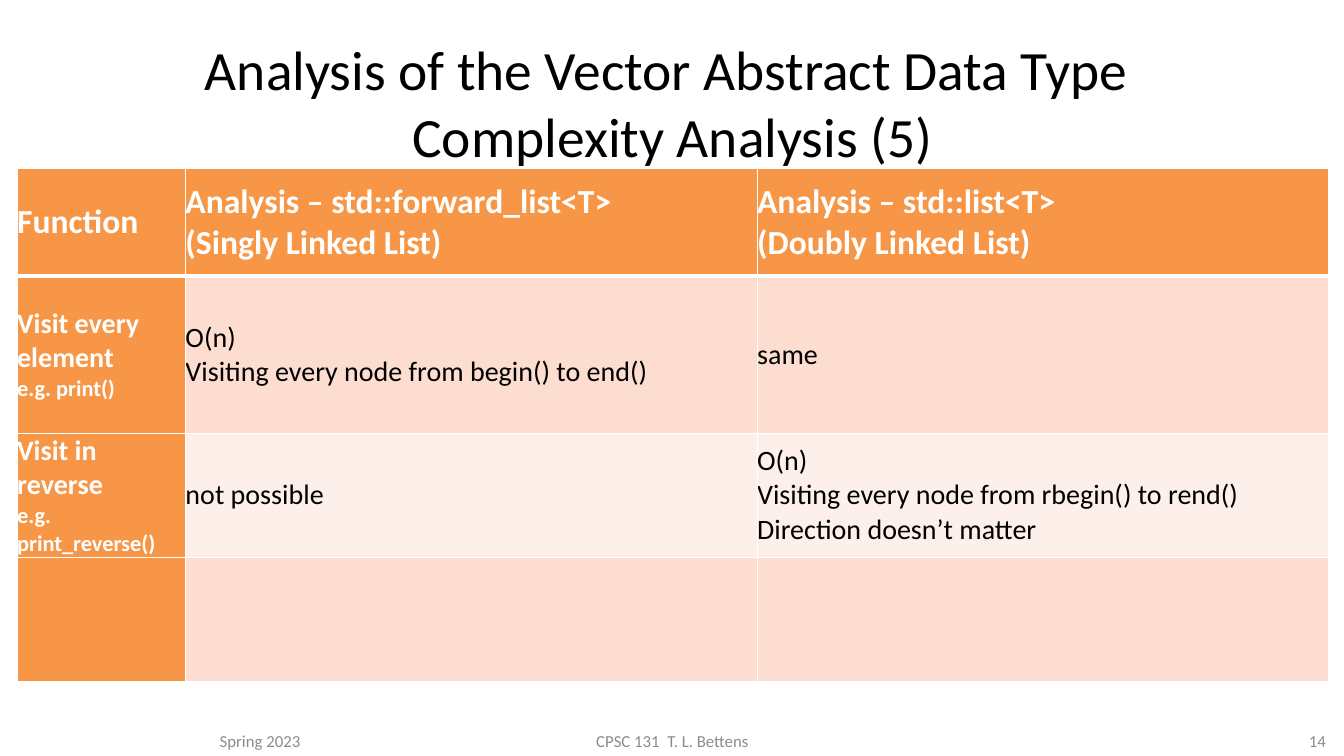
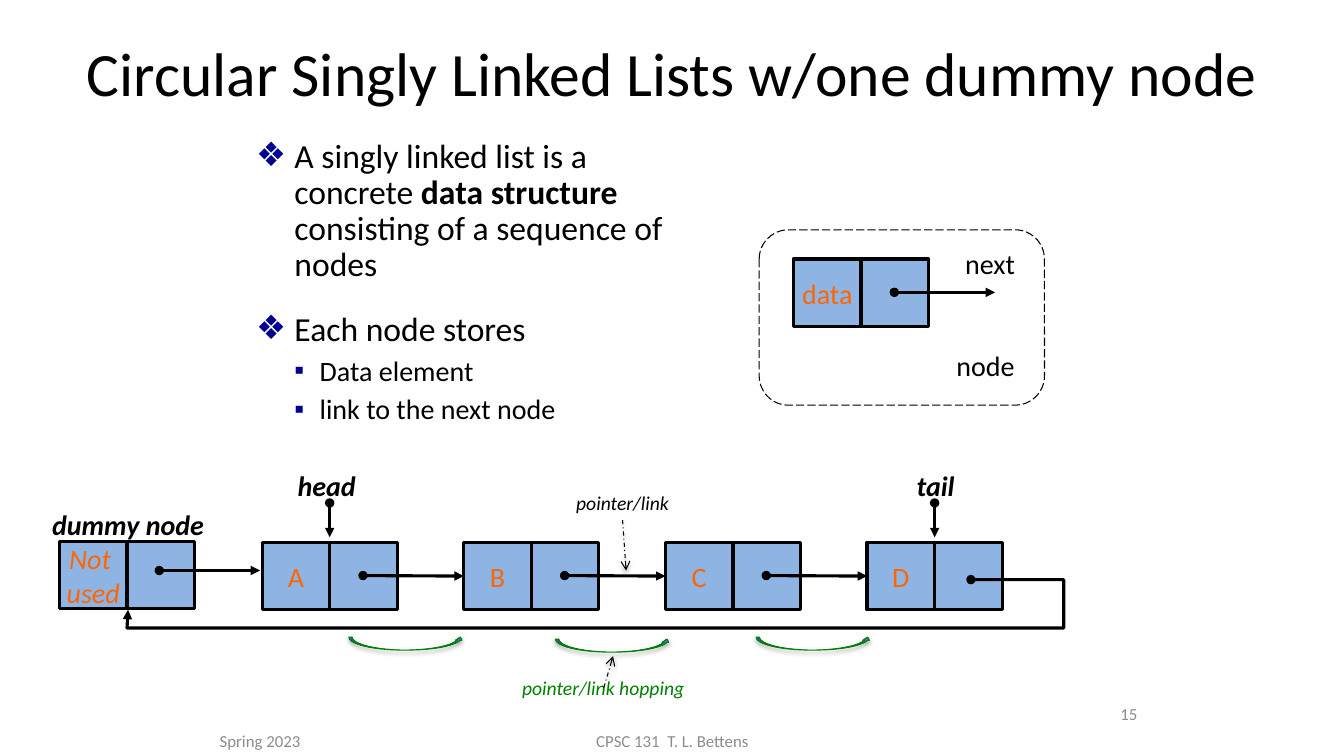
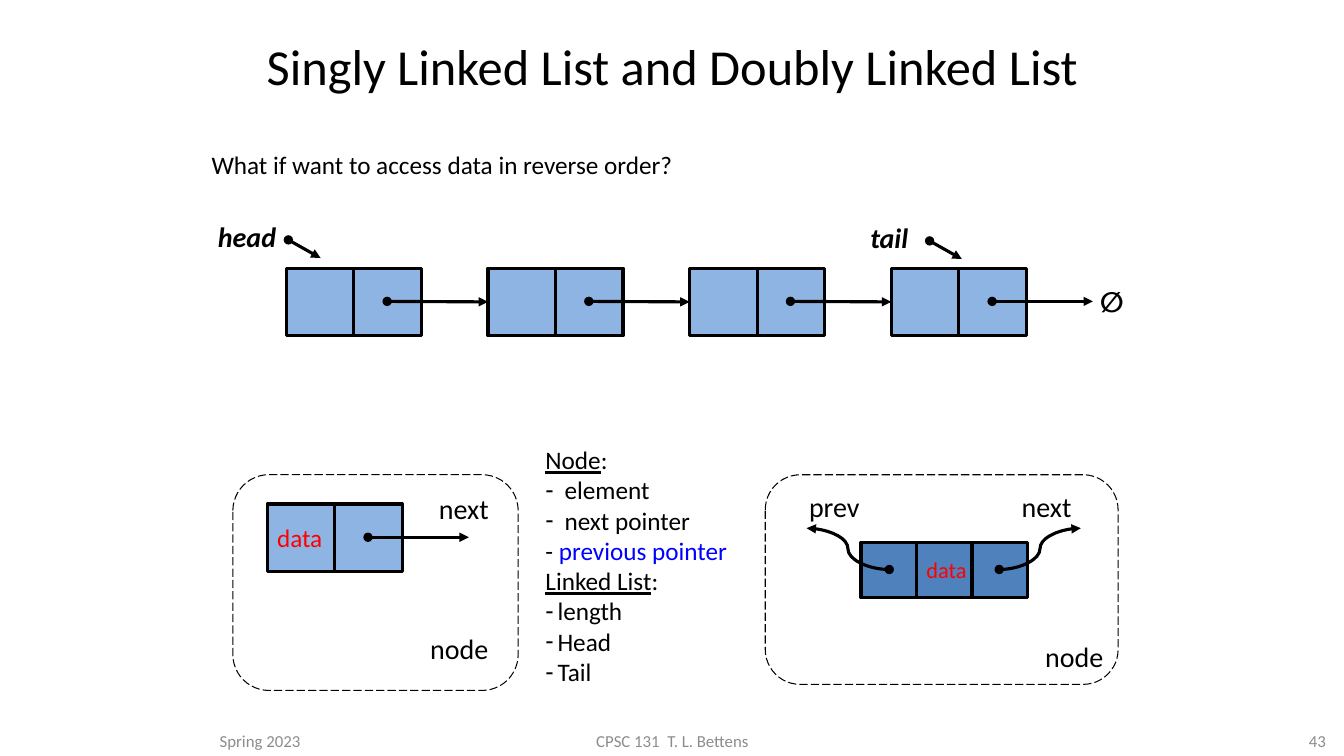
from lxml.etree import SubElement
from pptx import Presentation
from pptx.dml.color import RGBColor
from pptx.enum.dml import MSO_LINE as DASH
from pptx.enum.shapes import MSO_CONNECTOR as LINK, MSO_SHAPE as SHAPE
from pptx.enum.text import MSO_ANCHOR as ANCHOR, MSO_AUTO_SIZE as AUTOSIZE, PP_ALIGN as ALIGN
from pptx.oxml.ns import qn
from pptx.util import Pt

PX = 9144
BLACK, WHITE, GRAY = "000000", "FFFFFF", "8C8C8C"
SKY, STEEL, NAVY, BLUE = "8EB4E3", "4F81BD", "000090", "0000FF"
ORANGE, RED, GREEN = "FF6600", "FF0000", "008000"
HEADER, BANDS = "F79646", ("FCDDCF", "FDEFE9")
CELL, STEP = 67, 200


def px(*lengths):
    return [length * PX for length in lengths]


def color(code):
    return RGBColor.from_string(code)


def element(parent, tag, **attributes):
    return SubElement(parent, qn("a:" + tag), {key: str(value) for key, value in attributes.items()})


def effects(shape, shadow=False):
    effect_list = element(shape._element.spPr, "effectLst")
    if shadow:
        outer = element(effect_list, "outerShdw", blurRad=Pt(3), dist=Pt(1.7), dir=90 * 60000, rotWithShape=0)
        element(element(outer, "srgbClr", val=BLACK), "alpha", val=36000)


def outline(line, width, ink=BLACK, dash=None, head=None, tail=None):
    line.width = Pt(width)
    line.color.rgb = color(ink)
    if dash:
        line.dash_style = dash
    for tag, kind in (("headEnd", head), ("tailEnd", tail)):
        if kind:
            element(line._get_or_add_ln(), tag, type=kind)


def style_font(font, size=None, ink=None, bold=None, italic=None, underline=None, name=None):
    if size:
        font.size = Pt(size)
    if ink:
        font.color.rgb = color(ink)
    if name:
        font.name = name
    for key, value in (("bold", bold), ("italic", italic), ("underline", underline)):
        if value is not None:
            setattr(font, key, value)


def add_runs(paragraph, runs):
    for text, run_style in runs:
        run = paragraph.add_run()
        run.text = text
        style_font(run.font, **run_style)


def bullet(paragraph, mark, indent, ink):
    properties = paragraph._p.get_or_add_pPr()
    left, hang = indent
    properties.set("marL", str(left * PX))
    properties.set("indent", str(-hang * PX))
    if mark:
        element(element(properties, "buClr"), "srgbClr", val=ink)
        element(properties, "buChar", char=mark)
    else:
        element(properties, "buNone")


class Deck:
    def __init__(self):
        self.presentation = Presentation()
        self.presentation.slide_width, self.presentation.slide_height = px(1333, 750)
        self.slide = None

    def add_slide(self, title, size, number, layout, number_box=(1025, 695, 300, 55)):
        self.slide = self.presentation.slides.add_slide(self.presentation.slide_layouts[layout])
        self.place(self.slide.shapes.title, (17, 30, 1300, 125))
        self.set_text(self.slide.shapes.title.text_frame, [title], size, align=ALIGN.CENTER)
        for text, box, align in (
            ("Spring 2023", (208, 695, 233, 55), ALIGN.LEFT),
            ("CPSC 131  T. L. Bettens", (442, 695, 450, 55), ALIGN.CENTER),
            (number, number_box, ALIGN.RIGHT),
        ):
            self.label(text, box, 12, ink=GRAY, align=align, wrap=True, anchor=ANCHOR.BOTTOM)

    def place(self, shape, box):
        shape.left, shape.top, shape.width, shape.height = px(*box)
        shape.text_frame.auto_size = AUTOSIZE.NONE
        shape.text_frame.vertical_anchor = ANCHOR.TOP

    def set_text(self, frame, lines, size, ink=BLACK, align=ALIGN.LEFT, name="Calibri", **style):
        for index, line in enumerate(lines):
            paragraph = frame.add_paragraph() if index else frame.paragraphs[0]
            paragraph.alignment = align
            style_font(paragraph.font, size, ink, name=name, **style)
            paragraph.text = line

    def label(self, text, box, size=20, wrap=False, anchor=ANCHOR.TOP, align=ALIGN.CENTER, **style):
        shape = self.slide.shapes.add_textbox(*px(*box))
        shape.text_frame.word_wrap = wrap
        shape.text_frame.vertical_anchor = anchor
        self.set_text(shape.text_frame, [text], size, align=align, **style)
        return shape

    def bullets(self, box, items, spacing=1.0, bullet_ink=BLACK):
        body = self.slide.placeholders[1]
        self.place(body, box)
        frame = body.text_frame
        for index, (runs, size, level, mark, indent, before) in enumerate(items):
            paragraph = frame.add_paragraph() if index else frame.paragraphs[0]
            paragraph.level = level
            paragraph.line_spacing = spacing
            paragraph.space_before = Pt(before)
            bullet(paragraph, mark, indent, bullet_ink)
            style_font(paragraph.font, size, BLACK, name="Calibri")
            add_runs(paragraph, runs)

    def box(self, x, y, size=CELL, lines=(), fill=SKY, text_size=20, ink=ORANGE, align=ALIGN.CENTER, **style):
        shape = self.slide.shapes.add_shape(SHAPE.RECTANGLE, *px(x, y, size, size))
        shape.shadow.inherit = False
        shape.fill.solid()
        shape.fill.fore_color.rgb = color(fill)
        outline(shape.line, 2.25)
        shape.text_frame.word_wrap = False
        shape.text_frame.vertical_anchor = ANCHOR.MIDDLE
        self.set_text(shape.text_frame, lines, text_size, ink, align, **style)
        return shape

    def node(self, x, y, lines=(), **style):
        data = self.box(x, y, lines=lines, **style)
        self.box(x + CELL, y)
        return data

    def chain(self, x, y, names):
        nodes = [self.node(x + STEP * index, y, [name] if name else []) for index, name in enumerate(names)]
        for index, target in enumerate(nodes[1:]):
            start = x + STEP * index + 100
            self.pointer(start, y + 33, start + 100, y + 33).end_connect(target, 1)

    def pointer(self, x1, y1, x2, y2, kind=LINK.STRAIGHT):
        connector = self.slide.shapes.add_connector(kind, *px(x1, y1, x2, y2))
        outline(connector.line, 2.25, head="oval", tail="triangle")
        effects(connector)
        return connector

    def callout(self, x1, y1, x2, y2):
        connector = self.slide.shapes.add_connector(LINK.STRAIGHT, *px(x1, y1, x2, y2))
        outline(connector.line, 0.75, dash=DASH.DASH_DOT, tail="arrow")
        effects(connector, shadow=True)
        return connector

    def frame(self, box):
        shape = self.slide.shapes.add_shape(SHAPE.ROUNDED_RECTANGLE, *px(*box))
        shape.adjustments[0] = 0.167
        shape.shadow.inherit = False
        shape.fill.background()
        outline(shape.line, 0.75, dash=DASH.LONG_DASH)

    def single_node(self, x, y, height, node_label_y, **style):
        self.frame((x, y, 283, height))
        self.node(x + 34, y + 29, ["data"], **style)
        self.label("next", (x + 194, y + 12, 70, 44))
        self.label("node", (x + 184, node_label_y, 81, 43))
        self.pointer(x + 134, y + 62, x + 234, y + 62)

    def hop(self, x, y):
        shape = self.slide.shapes.add_shape(SHAPE.CURVED_UP_ARROW, *px(x, y, 114, 13))
        shape.fill.gradient()
        shape.fill.gradient_angle = 90
        for stop, code in zip(shape.fill.gradient_stops, ("2F5F99", "3A7CCB")):
            stop.color.rgb = color(code)
        outline(shape.line, 0.75, GREEN)
        effects(shape, shadow=True)

    def loop(self, start, points):
        builder = self.slide.shapes.build_freeform(*start, scale=PX)
        builder.add_line_segments(points, close=False)
        shape = builder.convert_to_shape()
        shape.shadow.inherit = False
        shape.fill.background()
        outline(shape.line, 2.25, head="oval", tail="triangle")

    def table(self, box, widths, heights, rows):
        table = self.slide.shapes.add_table(len(rows), len(widths), *px(*box)).table
        table.first_row = table.horz_banding = False
        for column, width in zip(table.columns, px(*widths)):
            column.width = width
        for row, height in zip(table.rows, px(*heights)):
            row.height = height
        for row, texts in enumerate(rows):
            for column, text in enumerate(texts):
                self.cell(table.cell(row, column), text, row, column)

    def cell(self, cell, text, row, column):
        heading = row == 0 or column == 0
        cell.margin_left = cell.margin_right = cell.margin_top = cell.margin_bottom = 0
        cell.vertical_anchor = ANCHOR.MIDDLE
        for side in "LRTB":
            thick = (row, side) in ((0, "B"), (1, "T"))
            border = element(cell._tc.get_or_add_tcPr(), "ln" + side, w=Pt(3 if thick else 1))
            element(element(border, "solidFill"), "srgbClr", val=WHITE)
        cell.fill.solid()
        cell.fill.fore_color.rgb = color(HEADER if heading else BANDS[(row - 1) % 2])
        if text:
            ink = WHITE if heading else BLACK
            self.set_text(cell.text_frame, text.split("\n"), 20 if row else 24, ink, bold=heading)
            if row and column == 0:
                cell.text_frame.paragraphs[1].font.size = Pt(16)


def complexity_slide(deck):
    deck.add_slide("Analysis of the Vector Abstract Data Type \vComplexity Analysis (5)", 39.6, "14", 5)
    deck.table((17, 167, 1300, 508), (167, 567, 567), (107, 156, 123, 123), (
        ("Function", "Analysis – std::forward_list<T>\n(Singly Linked List)",
         "Analysis – std::list<T>\n(Doubly Linked List)"),
        ("Visit every element\ne.g. print()", "O(n)\nVisiting every node from begin() to end()", "same"),
        ("Visit in reverse\ne.g. print_reverse()", "not possible",
         "O(n)\nVisiting every node from rbegin() to rend()\nDirection doesn’t matter"),
        ("", "", ""),
    ))


def circular_slide(deck):
    deck.add_slide("Circular Singly Linked Lists w/one dummy node", 44, "15", 1, (1055, 693, 83, 30))
    main_item, sub_item = (24, 0, "❖", (38, 38), 20), (20, 1, "▪", (63, 25), 6)
    deck.bullets((244, 133, 450, 295), (
        ([("A singly linked list is a concrete ", {}), ("data structure ", {"bold": True}),
          ("consisting of a sequence of nodes", {})], *main_item),
        ([("Each node stores", {})], *main_item),
        ([("Data element", {})], *sub_item),
        ([("link to the next node", {})], *sub_item),
    ), 0.9, NAVY)
    deck.single_node(753, 228, 174, 341)
    deck.chain(260, 538, "ABCD")
    deck.node(59, 537, ["Not ", "used"], italic=True)
    deck.pointer(158, 566, 258, 566)
    for text, box, x in (("head", (285, 460, 78, 44), 327), ("tail", (899, 460, 58, 44), 927)):
        deck.label(text, box, bold=True, italic=True)
        deck.pointer(x, 499, x, 533)
    deck.label("dummy node", (41, 499, 172, 44), bold=True, italic=True)
    link_label = deck.label("pointer/link", (561, 482, 113, 34), 14, italic=True)
    deck.callout(618, 516, 621, 566).begin_connect(link_label, 2)
    for x, y in ((346, 632), (551, 634), (750, 632)):
        deck.hop(x, y)
    deck.label("pointer/link hopping", (508, 666, 190, 34), 14, ink=GREEN, align=ALIGN.LEFT, italic=True)
    deck.callout(599, 682, 608, 651)
    deck.loop((963, 575), ((1055, 575), (1055, 623), (126, 623), (127, 605)))


def comparison_slide(deck):
    deck.add_slide("Singly Linked List and Doubly Linked List", 36, "43", 1)
    deck.label("What if want to access data in reverse order?", (200, 143, 943, 40), 18,
               align=ALIGN.LEFT, wrap=True)
    deck.chain(284, 266, [""] * 4)
    deck.pointer(984, 299, 1084, 299)
    deck.label("∅", (1081, 277, 43, 43), bold=True, name="Cabin")
    for text, box, x, y in (("head", (206, 213, 78, 44), 286, 238), ("tail", (853, 214, 58, 44), 922, 239)):
        deck.label(text, box, bold=True, italic=True)
        deck.pointer(x, y, x + 32, y + 18)
    deck.single_node(231, 471, 214, 622, text_size=18, ink=RED, align=ALIGN.LEFT)

    def heading(text):
        return [(text, {"underline": True}), (":", {})], 18, 0, None, (0, 0), 0

    def dashed(text, indent):
        return [(text, {})], 18, 0, "-", (indent, indent), 0

    deck.bullets((531, 436, 214, 269), (
        heading("Node"), dashed("element", 19), dashed("next pointer", 19),
        ([("- ", {}), ("previous pointer", {"ink": BLUE})], 18, 0, None, (0, 0), 0),
        heading("Linked List"), *(dashed(text, 12) for text in ("length", "Head", "Tail")),
    ))
    for index, lines in enumerate(([], ["data"], [])):
        deck.box(854 + 55 * index, 538, 55, lines, STEEL, 16, RED, ALIGN.LEFT)
    deck.pointer(882, 565, 800, 524, LINK.CURVE)
    deck.pointer(991, 565, 1072, 524, LINK.CURVE)
    for text, box in (("prev", (792, 481, 71, 44)), ("next", (1003, 481, 70, 44)), ("node", (1025, 630, 81, 43))):
        deck.label(text, box)
    deck.frame((759, 471, 350, 208))


def main():
    deck = Deck()
    complexity_slide(deck)
    circular_slide(deck)
    comparison_slide(deck)
    deck.presentation.save("out.pptx")


if __name__ == "__main__":
    main()
